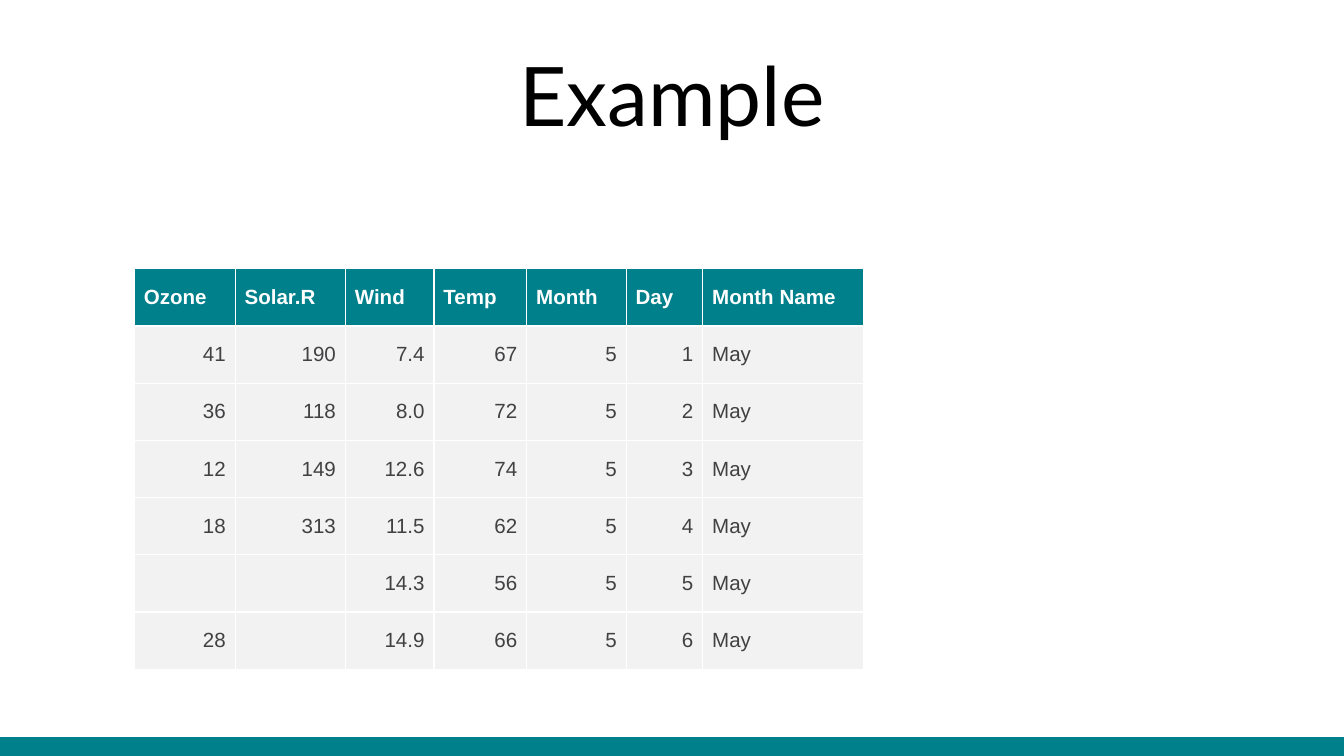
import pptx
import pptx.dml.color
import pptx.enum.shapes
import pptx.enum.text
import pptx.oxml
import pptx.oxml.ns
import pptx.util

Inches = pptx.util.Inches
Pt = pptx.util.Pt
Align = pptx.enum.text.PP_ALIGN
Anchor = pptx.enum.text.MSO_ANCHOR

TEAL, WHITE, BLACK = "00808B", "FFFFFF", "000000"
BODY_FILL, BODY_TEXT = "F2F2F2", "414042"
COLUMN_WIDTHS = [0.75, 0.82, 0.66, 0.69, 0.74, 0.57, 1.2]
ROWS = [
    ["Ozone", "Solar.R", "Wind", "Temp", "Month", "Day", "Month Name"],
    ["41", "190", "7.4", "67", "5", "1", "May"],
    ["36", "118", "8.0", "72", "5", "2", "May"],
    ["12", "149", "12.6", "74", "5", "3", "May"],
    ["18", "313", "11.5", "62", "5", "4", "May"],
    ["", "", "14.3", "56", "5", "5", "May"],
    ["28", "", "14.9", "66", "5", "6", "May"],
]


def color(value):
    return pptx.dml.color.RGBColor.from_string(value)


def format_font(font, name, size, value, bold=False):
    font.name, font.size, font.bold = name, Pt(size), bold
    font.color.rgb = color(value)


def add_footer_bar(page, left, top, width, height):
    bar = page.shapes.add_shape(
        pptx.enum.shapes.MSO_SHAPE.RECTANGLE,
        Inches(left), Inches(top), Inches(width), Inches(height))
    bar.shadow.inherit = False
    bar.fill.solid()
    bar.fill.fore_color.rgb = color(TEAL)
    bar.line.color.rgb = color(TEAL)
    bar.line.width = Pt(0.75)
    # Keep the bar behind the title
    page.shapes.element.insert(2, bar.element)


def place_title(page, text, left, top, width, height):
    title = page.shapes.title
    title.left, title.top = Inches(left), Inches(top)
    title.width, title.height = Inches(width), Inches(height)
    frame = title.text_frame
    frame.text = text
    frame.vertical_anchor = Anchor.MIDDLE
    para = frame.paragraphs[0]
    para.alignment = Align.CENTER
    format_font(para.runs[0].font, "Lato", 44, BLACK)


def add_borders(cell, value, width):
    properties = cell._tc.get_or_add_tcPr()
    for index, side in enumerate(["lnL", "lnR", "lnT", "lnB"]):
        properties.insert(index, pptx.oxml.parse_xml(
            f'<a:{side} {pptx.oxml.ns.nsdecls("a")} w="{Pt(width)}">'
            f'<a:solidFill><a:srgbClr val="{value}"/></a:solidFill></a:{side}>'))


def format_cell(cell, text, is_header, is_number):
    cell.fill.solid()
    cell.fill.fore_color.rgb = color(TEAL if is_header else BODY_FILL)
    add_borders(cell, WHITE, 0.75)
    cell.vertical_anchor = Anchor.MIDDLE
    cell.margin_left = cell.margin_right = 0
    cell.margin_top = cell.margin_bottom = Inches(0.07)
    para = cell.text_frame.paragraphs[0]
    para.text = text
    para.alignment = Align.RIGHT if is_number else Align.LEFT
    para.space_before = para.space_after = Pt(5)
    # Side indents of the paragraph
    for side in ("marL", "marR"):
        para._p.get_or_add_pPr().set(side, str(Inches(0.07)))
    format_font(para.font, "Arial", 11, BODY_TEXT)
    for span in para.runs:
        format_font(span.font, "Arial", 11,
                    WHITE if is_header else BODY_TEXT, is_header)


def add_data_table(page, left, top, height):
    table = page.shapes.add_table(
        len(ROWS), len(COLUMN_WIDTHS), Inches(left), Inches(top),
        Inches(sum(COLUMN_WIDTHS)), Inches(height)).table
    for column, width in zip(table.columns, COLUMN_WIDTHS):
        column.width = Inches(width)
    last_column = len(COLUMN_WIDTHS) - 1
    for r, row in enumerate(ROWS):
        for c, text in enumerate(row):
            format_cell(table.cell(r, c), text, r == 0,
                        r > 0 and c < last_column)


def main():
    deck = pptx.Presentation()
    # Widescreen page, 16 to 9
    deck.slide_width = Inches(10)
    deck.slide_height = deck.slide_width * 9 // 16
    page = deck.slides.add_slide(deck.slide_layouts[5])
    add_footer_bar(page, 0, 5.49, 10, 0.14)
    place_title(page, "Example", 0.5, 0.23, 9, 0.94)
    add_data_table(page, 1, 2, 2.98)
    deck.save("out.pptx")


if __name__ == "__main__":
    main()
